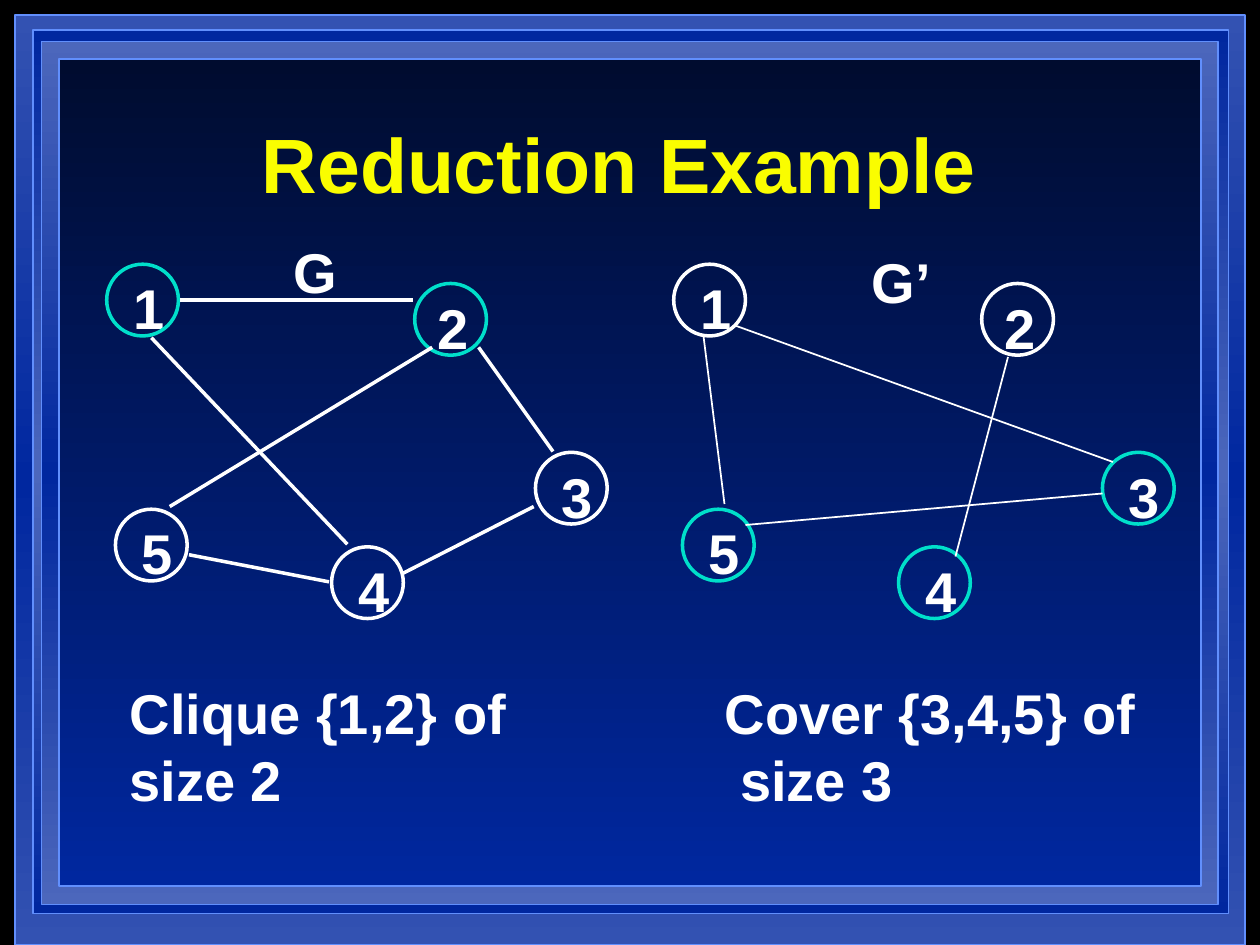
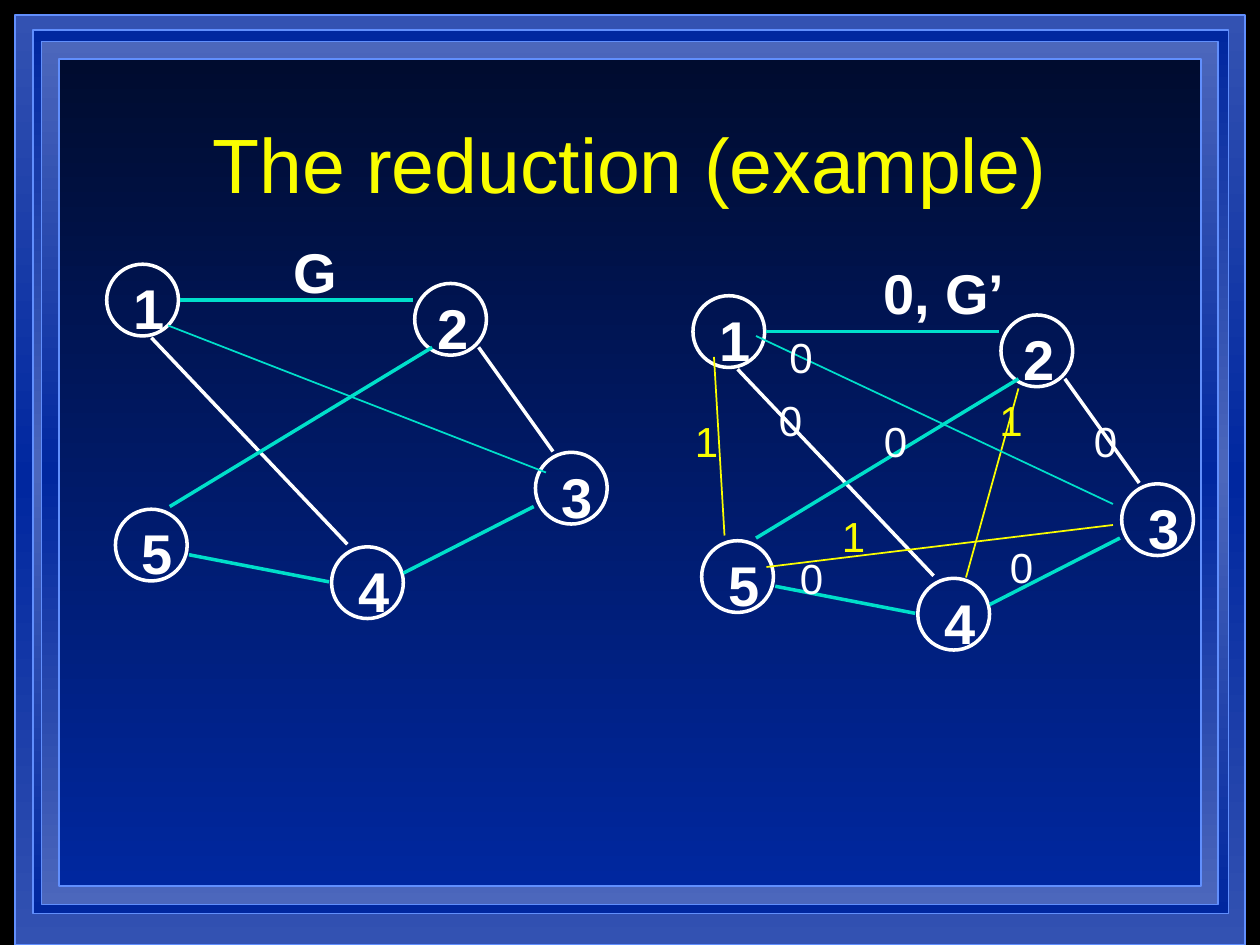
from lxml import etree
from pptx import Presentation
from pptx.dml.color import RGBColor
from pptx.enum.shapes import MSO_CONNECTOR, MSO_SHAPE
from pptx.enum.text import MSO_ANCHOR, MSO_AUTO_SIZE, PP_ALIGN
from pptx.oxml.ns import qn
from pptx.util import Pt

STRAIGHT = MSO_CONNECTOR.STRAIGHT
OVAL = MSO_SHAPE.OVAL
RECTANGLE = MSO_SHAPE.RECTANGLE
MIDDLE = MSO_ANCHOR.MIDDLE
GROW = MSO_AUTO_SIZE.SHAPE_TO_FIT_TEXT
CENTER = PP_ALIGN.CENTER
LEFT = PP_ALIGN.LEFT

FONT = "Arial"
COLORS = {
    "black": "000000",
    "white": "FFFFFF",
    "yellow": "FAFD00",
    "teal": "00DFCA",
    "rim": "618FFD",
    "blue": "00279F",
    "navy": "000C2F",
    "steel": "3352B2",
    "haze": "4C67BC",
}

# left, top, width, height and the evenly spaced gradient colours, top to bottom
FRAMES = [
    ((8.64, 8.64, 702.72, 531.36), ["steel", "blue", "steel"]),
    ((18.72, 17.28, 683.28, 504.72), ["blue", "haze", "blue"]),
    ((23.76, 23.76, 672.48, 493.2), ["haze", "blue", "haze"]),
    ((33.84, 33.84, 652.32, 472.32), ["navy", "blue"]),
]

NODE_SIZE = 41
# left and top of each circle, then how far its number is shifted right
NODES = {
    1: (61, 151, 8),
    2: (237, 162, 6),
    3: (306, 258.5, 8),
    4: (189.5, 312.5, 8),
    5: (66, 291, 8),
}
EDGES = {
    (2, 3): ((273.5, 198.5), (316, 258)),
    (3, 4): ((305, 289.5), (230.5, 327.5)),
    (5, 4): ((108, 317), (188, 332.5)),
    (1, 4): ((86.5, 193), (198.5, 311)),
    (5, 2): ((97, 289.5), (247, 198.5)),
    (1, 2): ((103, 171.5), (236, 171.5)),
}
CYCLE = [(3, 4), (5, 4), (5, 2), (1, 2)]

COMPLEMENT_EDGES = [
    ((402, 192), (414, 288)),
    ((576, 204), (546, 318)),
    ((420, 186), (636, 264)),
    ((630, 282), (426, 300)),
]
ADDED_EDGES = [
    ((408, 204), (414, 306), "yellow"),
    ((582, 222), (552, 330), "yellow"),
    ((432, 192), (636, 288), "teal"),
    ((438, 324), (636, 300), "yellow"),
    ((96, 186), (312, 270), "teal"),
]
COSTS = {
    ("0", "white"): [(438, 222), (498, 234), (450, 312), (570, 306),
                     (618, 234), (444, 186)],
    ("1", "yellow"): [(390, 234), (474, 288), (564, 222)],
}


def rgb(name):
    return RGBColor.from_string(COLORS[name])


def format_paragraphs(frame, size, color, bold, align=LEFT):
    for paragraph in frame.paragraphs:
        paragraph.alignment = align
        paragraph.font.name = FONT
        paragraph.font.size = Pt(size)
        paragraph.font.bold = bold
        paragraph.font.color.rgb = rgb(color)


def fill_gradient(shape, names):
    """Fill the shape from top to bottom with evenly spaced colours."""
    shape.fill.gradient()
    shape.fill.gradient_angle = 270
    stops = shape.element.find(".//" + qn("a:gsLst"))
    for stop in list(stops):
        stops.remove(stop)
    for i, name in enumerate(names):
        position = str(100000 * i // (len(names) - 1))
        stop = etree.SubElement(stops, qn("a:gs"), pos=position)
        etree.SubElement(stop, qn("a:srgbClr"), val=COLORS[name])


def move_frames_to_master(slide, master):
    """Draw the nested frames and put them behind everything on the master."""
    for depth, (box, names) in enumerate(FRAMES):
        frame = slide.shapes.add_shape(RECTANGLE, *map(Pt, box))
        frame.shadow.inherit = False
        fill_gradient(frame, names)
        frame.line.color.rgb = rgb("rim")
        frame.line.width = Pt(1)
        master.shapes.element.insert(2 + depth, frame.element)


def add_titled_slide(prs, layout, title, bold):
    slide = prs.slides.add_slide(layout)
    frame = slide.shapes.title.text_frame
    frame.text = title
    frame.vertical_anchor = MIDDLE
    format_paragraphs(frame, 44, "yellow", bold, CENTER)
    return slide


def add_label(slide, text, left, top, width, height=45, size=32,
              color="white", bold=True, wrap=False):
    label = slide.shapes.add_textbox(Pt(left), Pt(top), Pt(width), Pt(height))
    frame = label.text_frame
    frame.word_wrap = wrap
    frame.auto_size = GROW
    frame.text = text
    format_paragraphs(frame, size, color, bold)


def add_edge(slide, start, end, color="white", width=1):
    edge = slide.shapes.add_connector(STRAIGHT, *map(Pt, (*start, *end)))
    edge.line.color.rgb = rgb(color)
    edge.line.width = Pt(width)
    etree.SubElement(edge.element.spPr, qn("a:effectLst"))


def add_nodes(slide, dx=0, dy=0, marked=()):
    """Draw the five numbered circles, the marked ones in teal."""
    for number, (left, top, shift) in NODES.items():
        x, y = left + dx, top + dy
        add_label(slide, str(number), x + shift, y + 2, 32.5)
        circle = slide.shapes.add_shape(
            OVAL, Pt(x), Pt(y), Pt(NODE_SIZE), Pt(NODE_SIZE))
        circle.shadow.inherit = False
        circle.fill.background()
        circle.line.color.rgb = rgb("teal" if number in marked else "white")
        circle.line.width = Pt(2)


def add_graph(slide, dx=0, dy=0, marked_nodes=(), marked_edges=()):
    add_nodes(slide, dx, dy, marked_nodes)
    for pair, ends in EDGES.items():
        start, end = [(x + dx, y + dy) for x, y in ends]
        color = "teal" if pair in marked_edges else "white"
        add_edge(slide, start, end, color, 2)


def fill_clique_slide(slide):
    add_graph(slide, marked_nodes=(1, 2))
    add_nodes(slide, dx=324, marked=(3, 4, 5))
    add_label(slide, "G", 160.5, 132, 39.5)
    add_label(slide, "G’", 491, 138, 48)
    for start, end in COMPLEMENT_EDGES:
        add_edge(slide, start, end)
    add_label(slide, "Clique {1,2} of\nsize 2", 67, 384, 239, 84)
    add_label(slide, "Cover {3,4,5} of\n size 3", 407, 384, 250, 84)


def fill_cycle_slide(slide):
    add_graph(slide, marked_edges=CYCLE)
    add_label(slide, "G", 160.5, 132, 39.5)
    add_graph(slide, dx=335, dy=18, marked_edges=CYCLE)
    add_label(slide, "0, G’", 497.5, 144, 84)
    for start, end, color in ADDED_EDGES:
        add_edge(slide, start, end, color)
    for (cost, color), places in COSTS.items():
        for left, top in places:
            add_label(slide, cost, left, top, 54, 36, 24, color,
                      bold=False, wrap=True)


def main():
    prs = Presentation()
    prs.slide_width, prs.slide_height = Pt(720), Pt(540)
    master = prs.slide_master
    master.background.fill.solid()
    master.background.fill.fore_color.rgb = rgb("black")
    layout = prs.slide_layouts.get_by_name("Title Only")
    title = layout.placeholders[0]
    title.left, title.top, title.width, title.height = map(
        Pt, (54, 48, 612, 90))

    clique = add_titled_slide(prs, layout, "Reduction Example ", bold=True)
    move_frames_to_master(clique, master)
    fill_clique_slide(clique)
    cycle = add_titled_slide(prs, layout, "The reduction (example)", bold=False)
    fill_cycle_slide(cycle)
    prs.save("out.pptx")


if __name__ == "__main__":
    main()
